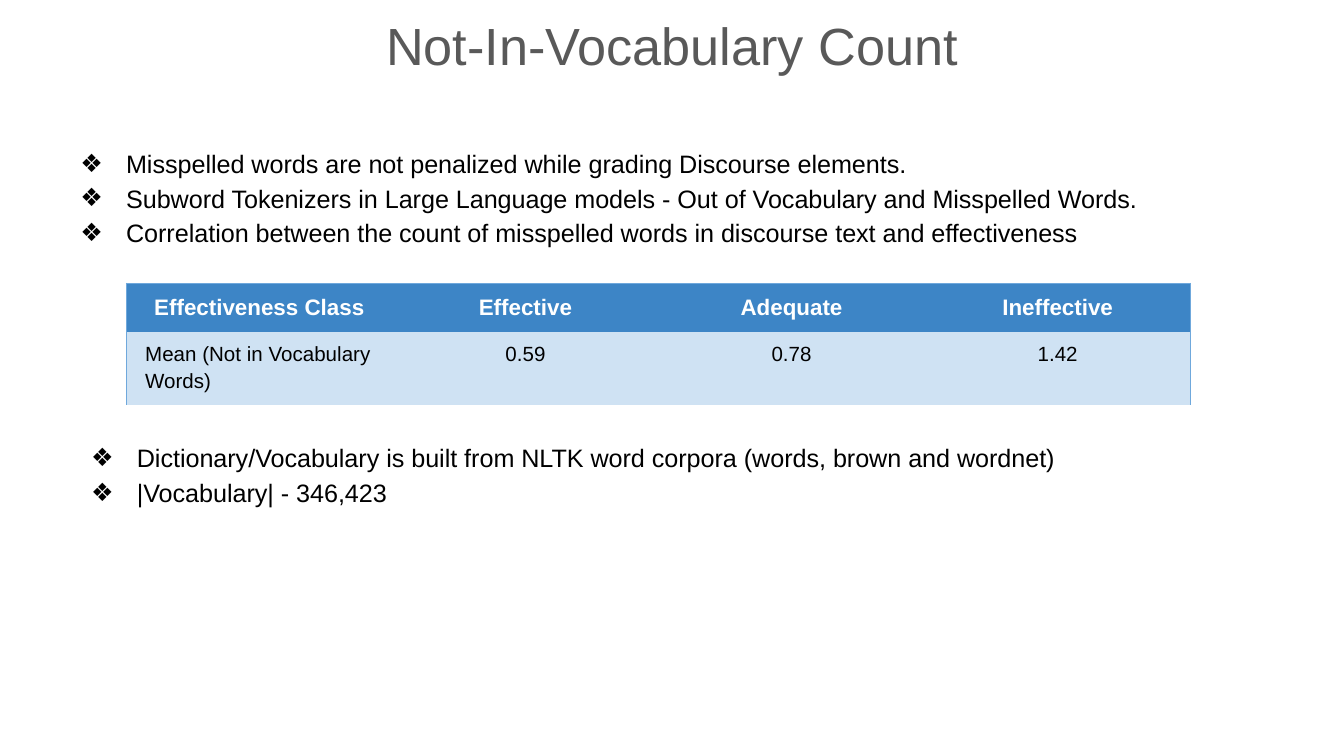
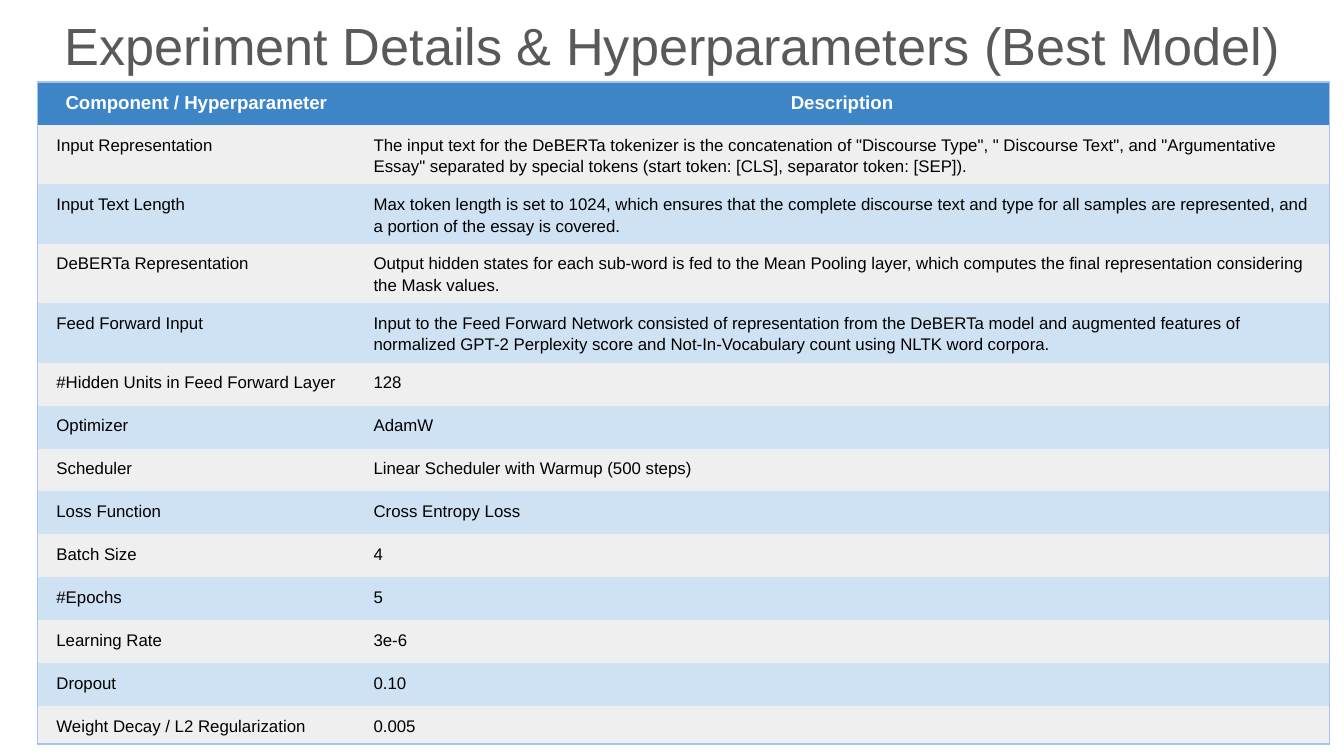
from dataclasses import dataclass
from lxml.etree import SubElement
from pptx import Presentation
from pptx.dml.color import RGBColor
from pptx.enum.text import MSO_ANCHOR, MSO_AUTO_SIZE, PP_ALIGN
from pptx.oxml.ns import qn
from pptx.util import Inches, Pt


@dataclass(frozen=True)
class Theme:
    font: str = "Arial"
    ink: str = "000000"
    grey: str = "595959"
    white: str = "FFFFFF"
    head: str = "3D85C6"
    blue: str = "CFE2F3"
    pale: str = "EFEFEF"
    edge: str = "6FA8DC"
    soft: str = "A4C2F4"
    title: float = 28
    list: float = 13.5
    lead: float = 1.15


THEME = Theme()
PLAIN = "{2D5ABB26-0587-4C30-8999-92F81FD0307C}"
LEFT, MID = PP_ALIGN.LEFT, PP_ALIGN.CENTER


def style(para, size, color, bold=False, align=LEFT):
    para.alignment = align
    for run in para.runs:
        font = run.font
        font.name, font.size, font.bold = THEME.font, Pt(size), bold
        font.color.rgb = RGBColor.from_string(color)


def inset(frame, side, top, base):
    frame.margin_left = frame.margin_right = Inches(side)
    frame.margin_top, frame.margin_bottom = Inches(top), Inches(base)


# Slide with its heading
def add_slide(deck, text):
    slide = deck.slides.add_slide(deck.slide_layouts[5])
    title = slide.shapes.title
    title.left, title.top = Inches(0.34), Inches(0)
    title.width, title.height = Inches(9.32), Inches(0.87)
    frame = title.text_frame
    frame.text = text
    frame.word_wrap, frame.auto_size = True, MSO_AUTO_SIZE.NONE
    frame.vertical_anchor = MSO_ANCHOR.TOP
    inset(frame, 0.1, 0.1, 0.1)
    style(frame.paragraphs[0], THEME.title, THEME.grey, align=MID)
    return slide


# Bulleted list
def add_list(slide, box, items, top=0.1):
    frame = slide.shapes.add_textbox(*map(Inches, box)).text_frame
    frame.word_wrap = True
    inset(frame, 0.1, top, 0.1)
    frame.text = "\n".join(items)
    for para in frame.paragraphs:
        style(para, THEME.list, THEME.ink)
        para.line_spacing = THEME.lead
        props = para._p.get_or_add_pPr()
        props.set("marL", str(Inches(0.5)))
        props.set("indent", str(Inches(-0.34)))
        tint = SubElement(props, qn("a:buClr"))
        SubElement(tint, qn("a:srgbClr"), val=THEME.ink)
        SubElement(props, qn("a:buSzPts"), val=str(int(THEME.list * 100)))
        SubElement(props, qn("a:buFont"), typeface=THEME.font)
        SubElement(props, qn("a:buChar"), char="❖")


# Cell edges: a line on the named sides, nothing on the others
def add_edges(cell, sides, color):
    props = cell._tc.get_or_add_tcPr()
    for side in "LRTB":
        line = SubElement(props, qn("a:ln" + side), w=str(Pt(0.75)))
        if side in sides:
            fill = SubElement(line, qn("a:solidFill"))
            SubElement(fill, qn("a:srgbClr"), val=color)
        else:
            SubElement(line, qn("a:noFill"))


# Table with a header row, banded body and outer frame
def add_grid(slide, spot, cols, highs, rows, sizes, bands, frame, edge, aligns):
    box = (*spot, sum(cols), sum(highs))
    table = slide.shapes.add_table(len(rows), len(cols), *map(Inches, box)).table
    table._tbl.tblPr.find(qn("a:tableStyleId")).text = PLAIN
    for col, wide in zip(table.columns, cols):
        col.width = Inches(wide)
    for row, high in zip(table.rows, highs):
        row.height = Inches(high)
    for r, texts in enumerate(rows):
        for c, text in enumerate(texts):
            cell = table.cell(r, c)
            outer = {"L": c == 0, "R": c == len(cols) - 1,
                     "T": r == 0, "B": r == len(rows) - 1}
            add_edges(cell, [s for s in frame if outer[s]], edge)
            fill = bands[(r - 1) % len(bands)] if r else THEME.head
            cell.fill.solid()
            cell.fill.fore_color.rgb = RGBColor.from_string(fill)
            inset(cell, 0.14, 0.06, 0.06)
            cell.text_frame.text = text
            para = cell.text_frame.paragraphs[0]
            para.line_spacing, para.space_after = THEME.lead, Pt(12)
            if r:
                style(para, sizes[1], THEME.ink, align=aligns[c])
            else:
                style(para, sizes[0], THEME.white, True, MID)


def add_count(deck):
    slide = add_slide(deck, "Not-In-Vocabulary Count")
    add_list(slide, (0.34, 0.58, 9.25, 2.22), [
        "Misspelled words are not penalized while grading Discourse elements.",
        "Subword Tokenizers in Large Language models - Out of Vocabulary and Misspelled Words.",
        "Correlation between the count of misspelled words in discourse text and effectiveness",
    ], top=0.49)
    rows = [
        ("Effectiveness Class", "Effective", "Adequate", "Ineffective"),
        ("Mean (Not in Vocabulary Words)", "0.59", "0.78", "1.42"),
    ]
    add_grid(slide, (0.94, 2.11), [1.98] * 4, [0.36, 0.54], rows, (12, 11),
             [THEME.blue], "LTR", THEME.edge, [LEFT, MID, MID, MID])
    add_list(slide, (0.42, 3.16, 9.05, 0.69), [
        "Dictionary/Vocabulary is built from NLTK word corpora (words, brown and wordnet)",
        "|Vocabulary| - 346,423",
    ])


def add_setup(deck):
    slide = add_slide(deck, "Experiment Details & Hyperparameters (Best Model)")
    rows = [
        ("Component / Hyperparameter", "Description"),
        ("Input Representation",
         'The input text for the DeBERTa tokenizer is the concatenation of "Discourse Type", '
         '" Discourse Text", and "Argumentative Essay" separated by special tokens '
         "(start token: [CLS], separator token: [SEP])."),
        ("Input Text Length",
         "Max token length is set to 1024, which ensures that the complete discourse text "
         "and type for all samples are represented, and a portion of the essay is covered."),
        ("DeBERTa Representation",
         "Output hidden states for each sub-word is fed to the Mean Pooling layer, which "
         "computes the final representation considering the Mask values."),
        ("Feed Forward Input",
         "Input to the Feed Forward Network consisted of representation from the DeBERTa "
         "model and augmented features of normalized GPT-2 Perplexity score and "
         "Not-In-Vocabulary count using NLTK word corpora."),
        ("#Hidden Units in Feed Forward Layer", "128"),
        ("Optimizer", "AdamW"),
        ("Scheduler", "Linear Scheduler with Warmup (500 steps)"),
        ("Loss Function", "Cross Entropy Loss"),
        ("Batch Size", "4"),
        ("#Epochs", "5"),
        ("Learning Rate", "3e-6"),
        ("Dropout", "0.10"),
        ("Weight Decay / L2 Regularization", "0.005"),
    ]
    highs = [0.32] + [0.44] * 4 + [0.32] * 8 + [0.27]
    add_grid(slide, (0.28, 0.61), [2.36, 7.25], highs, rows, (10, 9),
             [THEME.pale, THEME.blue], "LTRB", THEME.soft, [LEFT, LEFT])


def main():
    deck = Presentation()
    # Widescreen, 16 to 9
    deck.slide_width, deck.slide_height = Inches(10), Inches(10 * 9 / 16)
    add_count(deck)
    add_setup(deck)
    deck.save("out.pptx")


if __name__ == "__main__":
    main()
